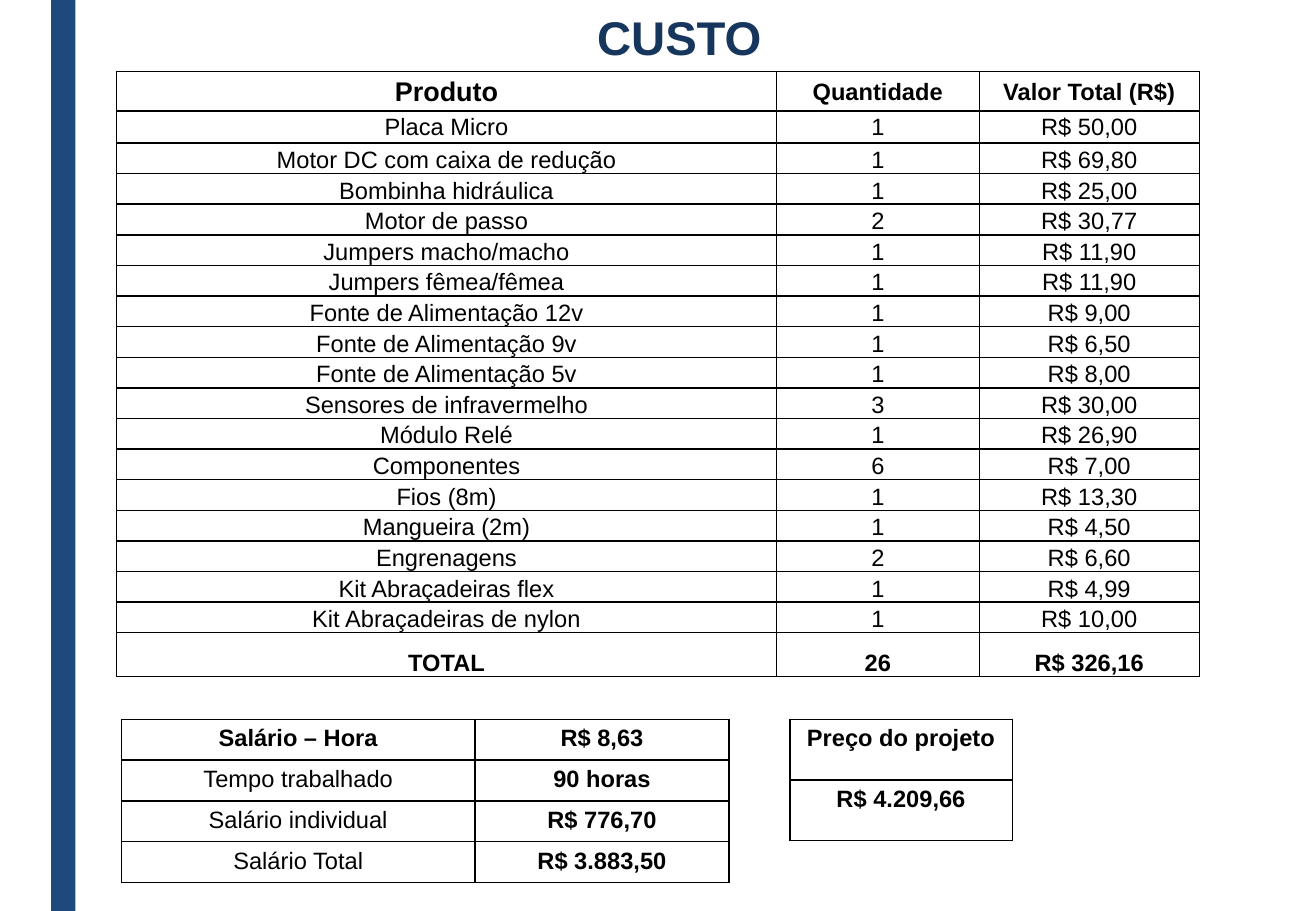
from lxml import etree
from pptx import Presentation
from pptx.dml.color import RGBColor
from pptx.enum.shapes import MSO_SHAPE
from pptx.enum.text import MSO_ANCHOR, MSO_AUTO_SIZE, PP_ALIGN
from pptx.oxml.ns import qn
from pptx.util import Cm, Pt

COLORS = {"bar": "1F497D", "title": "17365D", "text": "000000",
          "border": "000000", "cell": "FFFFFF"}


def write(tf, text, size=14, bold=False, color="text"):
    p = tf.paragraphs[0]
    p.alignment = PP_ALIGN.CENTER
    r = p.add_run()
    r.text = text
    r.font.name = "Arial"
    r.font.size = Pt(size)
    r.font.bold = bold
    r.font.color.rgb = RGBColor.from_string(COLORS[color])


def grid(s, left, top, widths, heights, margins):
    """Add an empty white table with thin borders, all lengths in cm."""
    table = s.shapes.add_table(len(heights), len(widths), Cm(left), Cm(top),
                               Cm(sum(widths)), Cm(sum(heights))).table
    table.first_row = table.horz_banding = False
    for col, width in zip(table.columns, widths):
        col.width = Cm(width)
    for row, height in zip(table.rows, heights):
        row.height = Cm(height)
    for cell in table.iter_cells():
        (cell.margin_left, cell.margin_top,
         cell.margin_right, cell.margin_bottom) = [Cm(m) for m in margins]
        cell.fill.solid()
        cell.fill.fore_color.rgb = RGBColor.from_string(COLORS["cell"])
        tc_pr = cell._tc.get_or_add_tcPr()
        for i, side in enumerate(("a:lnL", "a:lnR", "a:lnT", "a:lnB")):
            ln = etree.Element(qn(side), w=str(Pt(1)))
            fill = etree.SubElement(ln, qn("a:solidFill"))
            etree.SubElement(fill, qn("a:srgbClr"), val=COLORS["border"])
            tc_pr.insert(i, ln)
    return table


prs = Presentation()
prs.slide_width, prs.slide_height = Cm(27.51), Cm(19.05)
s = prs.slides.add_slide(prs.slide_layouts[6])

# Side bar
sp = s.shapes.add_shape(MSO_SHAPE.RECTANGLE, Cm(1.07), 0, Cm(0.51), prs.slide_height)
sp.shadow.inherit = False
sp.fill.solid()
sp.fill.fore_color.rgb = RGBColor.from_string(COLORS["bar"])
sp.line.fill.background()

# Title
tf = s.shapes.add_textbox(Cm(5.31), Cm(0.05), Cm(17.78), Cm(1.45)).text_frame
tf.word_wrap = True
tf.auto_size = MSO_AUTO_SIZE.SHAPE_TO_FIT_TEXT
write(tf, "CUSTO", size=28, bold=True, color="title")

# Salary table
salary = [
    ("Salário – Hora", "R$ 8,63"),
    ("Tempo trabalhado", "90 horas"),
    ("Salário individual", "R$ 776,70"),
    ("Salário Total", "R$ 3.883,50"),
]
wide_margins = (0.25, 0.13, 0.25, 0.13)
table = grid(s, 2.54, 15.04, [7.39, 5.31], [0.85] * len(salary), wide_margins)
for i, values in enumerate(salary):
    for j, value in enumerate(values):
        write(table.cell(i, j).text_frame, value, bold=i == 0 or j == 1)

# Product table
products = [
    ("Produto", "Quantidade", "Valor Total (R$)"),
    ("Placa Micro", "1", "R$ 50,00"),
    ("Motor DC com caixa de redução", "1", "R$ 69,80"),
    ("Bombinha hidráulica", "1", "R$ 25,00"),
    ("Motor de passo", "2", "R$ 30,77"),
    ("Jumpers macho/macho", "1", "R$ 11,90"),
    ("Jumpers fêmea/fêmea", "1", "R$ 11,90"),
    ("Fonte de Alimentação 12v", "1", "R$ 9,00"),
    ("Fonte de Alimentação 9v", "1", "R$ 6,50"),
    ("Fonte de Alimentação 5v", "1", "R$ 8,00"),
    ("Sensores de infravermelho", "3", "R$ 30,00"),
    ("Módulo Relé", "1", "R$ 26,90"),
    ("Componentes", "6", "R$ 7,00"),
    ("Fios (8m)", "1", "R$ 13,30"),
    ("Mangueira (2m)", "1", "R$ 4,50"),
    ("Engrenagens", "2", "R$ 6,60"),
    ("Kit Abraçadeiras flex", "1", "R$ 4,99"),
    ("Kit Abraçadeiras de nylon", "1", "R$ 10,00"),
    ("TOTAL", "26", "R$ 326,16"),
]
last = len(products) - 1
heights = [0.82, 0.67] + [0.64] * (last - 2) + [0.92]
table = grid(s, 2.44, 1.5, [13.79, 4.24, 4.6], heights, (0.02, 0.02, 0.02, 0))
for i, values in enumerate(products):
    for j, value in enumerate(values):
        cell = table.cell(i, j)
        cell.vertical_anchor = MSO_ANCHOR.MIDDLE if i < 2 else MSO_ANCHOR.BOTTOM
        write(cell.text_frame, value, size=16 if i == j == 0 else 14,
              bold=i in (0, last))

# Project price table
table = grid(s, 16.51, 15.04, [4.65], [1.27, 1.27], wide_margins)
for i, value in enumerate(("Preço do projeto", "R$ 4.209,66")):
    write(table.cell(i, 0).text_frame, value, bold=True)

prs.save("out.pptx")
